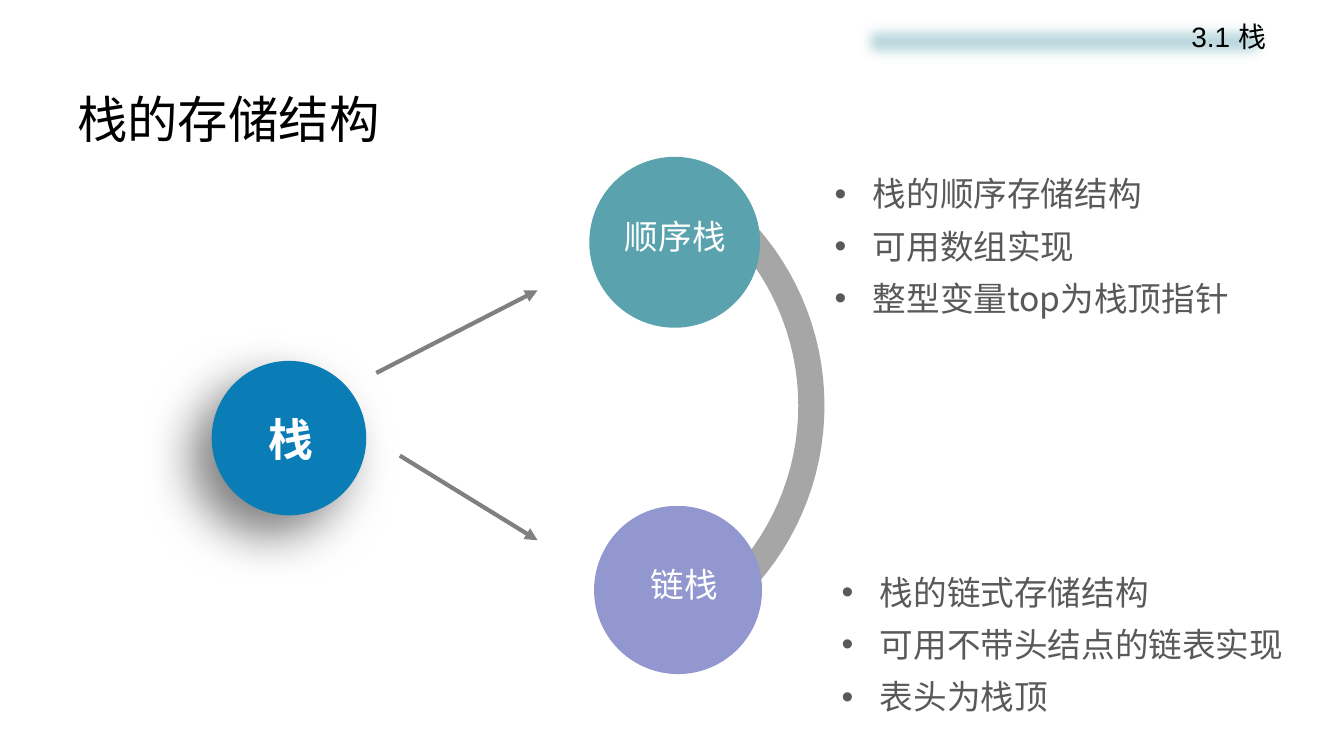
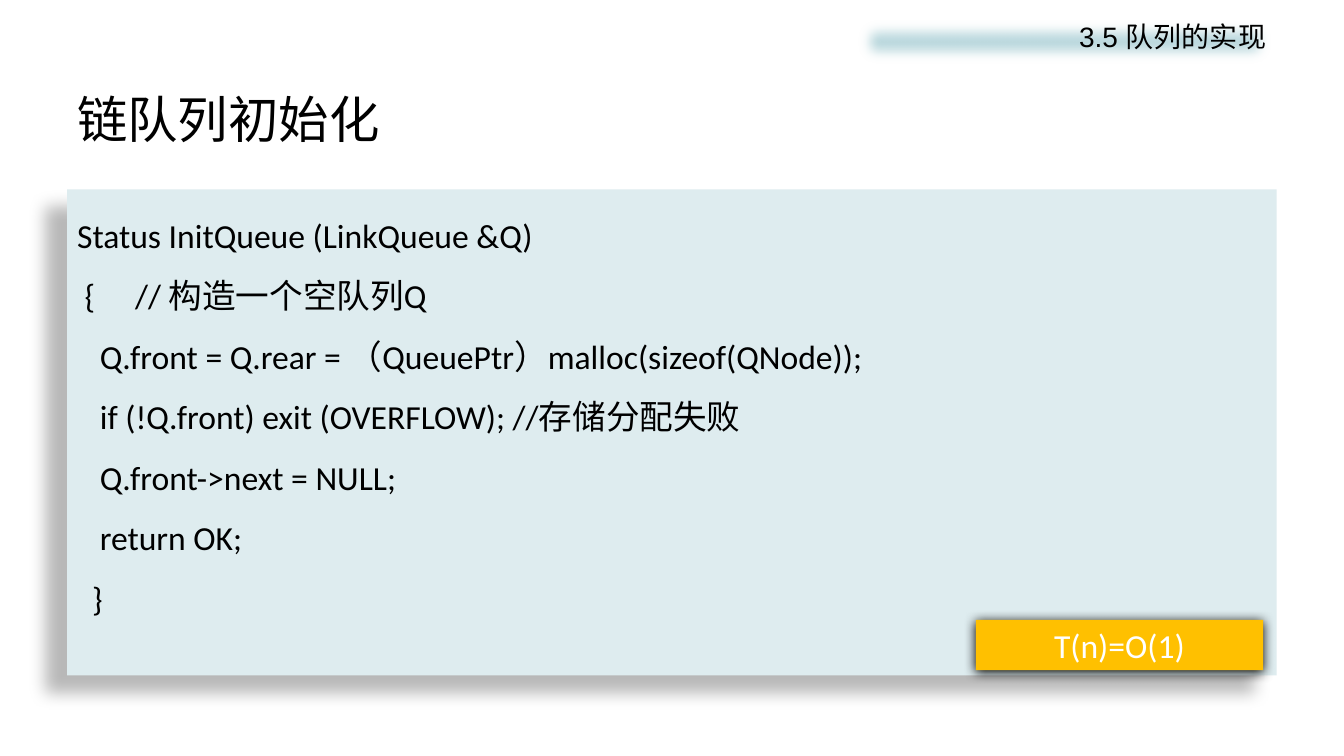
"""Build two slides on the storage of stacks and the set-up of a linked queue."""
from math import cos, radians, sin

from lxml.etree import SubElement
from pptx import Presentation
from pptx.dml.color import RGBColor as RGB
from pptx.enum.shapes import MSO_CONNECTOR as CONN, MSO_SHAPE as SHAPE
from pptx.enum.text import MSO_ANCHOR as ANCHOR, PP_ALIGN as ALIGN
from pptx.oxml.ns import qn
from pptx.util import Inches, Pt

WIDTH, HEIGHT = Inches(13.333), Inches(7.5)
COL, ROW = WIDTH / 40, HEIGHT / 30

BLACK = RGB(0x00, 0x00, 0x00)
WHITE = RGB(0xFF, 0xFF, 0xFF)
BODY_GREY = RGB(0x59, 0x59, 0x59)
ARROW_GREY = RGB(0x80, 0x80, 0x80)
ARC_GREY = RGB(0xA6, 0xA6, 0xA6)
BAND = RGB(0xBD, 0xDA, 0xDF)
PANEL = RGB(0xDE, 0xEC, 0xEF)
BLUE = RGB(0x0A, 0x7D, 0xB6)
TEAL = RGB(0x5A, 0xA2, 0xAE)
VIOLET = RGB(0x92, 0x97, 0xCF)
GOLD = RGB(0xFF, 0xC0, 0x00)

CJK = "Noto Sans CJK SC"
TITLE = dict(size=Pt(36), name=CJK)
SECTION = dict(size=Pt(20), name="Arial")
BULLET = dict(size=Pt(24), name=CJK)
CODE = dict(size=Pt(24), name="Calibri")
ROOT = dict(size=Pt(32), name=CJK, bold=True)
LEAF = dict(size=Pt(24), name="Arial")

SPACE = Pt(5.4)
CODE_LINES = [
    (0, "Status InitQueue (LinkQueue &Q)"),
    (1, "{\t// 构造一个空队列Q"),
    (3, "Q.front = Q.rear = （QueuePtr）malloc(sizeof(QNode));"),
    (3, "if (!Q.front) exit (OVERFLOW); //存储分配失败"),
    (3, "Q.front->next = NULL;"),
    (3, "return OK;"),
    (2, "}"),
]


def apply(obj, values):
    for key, value in values.items():
        setattr(obj, key, value)


def grid(col, row, cols, rows):
    return [int(n) for n in (col * COL, row * ROW, cols * COL, rows * ROW)]


def add_xml(parent, tag, **attrs):
    return SubElement(parent, qn(tag), {k: str(v) for k, v in attrs.items()})


def paint(sp, fill, line=None):
    sp.shadow.inherit = False
    sp.fill.solid()
    sp.fill.fore_color.rgb = fill
    if line is None:
        sp.line.fill.background()
    else:
        sp.line.color.rgb = line
        sp.line.width = Pt(2)
    return sp


def shape(s, kind, box, fill, line=None):
    return paint(s.shapes.add_shape(kind, *grid(*box)), fill, line)


def cast_shadow(sp, alpha, blur, dist, angle):
    effects = sp._element.spPr.find(qn("a:effectLst"))
    shadow = add_xml(effects, "a:outerShdw", blurRad=Pt(blur), dist=Pt(dist),
                     dir=angle * 60000, algn="ctr", rotWithShape=0)
    color = add_xml(shadow, "a:srgbClr", val=BLACK)
    add_xml(color, "a:alpha", val=alpha * 1000)


def write(sp, lines, font, color=BLACK, align=ALIGN.LEFT, spacing=1.0,
          anchor=ANCHOR.TOP, inset=True):
    tf = sp.text_frame
    apply(tf, dict(word_wrap=True, vertical_anchor=anchor))
    if not inset:
        apply(tf, dict.fromkeys(("margin_left", "margin_top",
                                 "margin_right", "margin_bottom"), 0))
    for i, line in enumerate(lines):
        p = tf.add_paragraph() if i else tf.paragraphs[0]
        apply(p, dict(alignment=align, line_spacing=spacing))
        r = p.add_run()
        r.text = line
        apply(r.font, font)
        r.font.color.rgb = color
        add_xml(r._r.get_or_add_rPr(), "a:ea", typeface=CJK)
    return tf.paragraphs


def label(s, box, lines, font, color=BLACK, **layout):
    return write(s.shapes.add_textbox(*grid(*box)), lines, font, color, **layout)


def indent(p, left, first=0):
    pPr = p._p.get_or_add_pPr()
    pPr.set("marL", str(int(left)))
    pPr.set("indent", str(int(first)))
    return pPr


def bullets(s, box, lines):
    for p in label(s, box, lines, BULLET, BODY_GREY, spacing=1.3, inset=False):
        pPr = indent(p, Inches(0.38), -Inches(0.38))
        add_xml(pPr, "a:buFont", typeface="Arial")
        add_xml(pPr, "a:buChar", char="•")


def arrow(s, start, end):
    ends = [int(n) for c, r in (start, end) for n in (c * COL, r * ROW)]
    sp = s.shapes.add_connector(CONN.STRAIGHT, *ends)
    sp.line.color.rgb = ARROW_GREY
    sp.line.width = Pt(3)
    spPr = sp._element.spPr
    add_xml(spPr.find(qn("a:ln")), "a:tailEnd", type="triangle")
    add_xml(spPr, "a:effectLst")


def arc_band(s, center, outer, inner, half_angle, steps=40):
    cx, cy = center[0] * COL, center[1] * ROW
    sweep = [radians(half_angle * (2 * i / steps - 1)) for i in range(steps + 1)]
    edge = [(outer, a) for a in sweep] + [(inner, a) for a in reversed(sweep)]
    points = [(cx + r * COL * cos(a), cy + r * COL * sin(a)) for r, a in edge]
    builder = s.shapes.build_freeform(*points[0])
    builder.add_line_segments(points[1:], close=True)
    paint(builder.convert_to_shape(), ARC_GREY)


def ringed_disc(s, ring, disc, text_box, text, fill, line, align):
    sp = shape(s, SHAPE.DONUT, ring, fill, line)
    sp.adjustments[0] = 0.05
    shape(s, SHAPE.OVAL, disc, fill, line)
    label(s, text_box, [text], LEAF, WHITE, align=align)


def base_slide(prs, title, section):
    s = prs.slides.add_slide(prs.slide_layouts[6])
    label(s, (2, 3.2, 36, 3), [title], TITLE, anchor=ANCHOR.MIDDLE)
    band = shape(s, SHAPE.RECTANGLE, (25.38, 0.56, 12.6, 2.16), BAND)
    effects = band._element.spPr.find(qn("a:effectLst"))
    add_xml(effects, "a:softEdge", rad=Pt(10))
    write(band, [section], SECTION, align=ALIGN.RIGHT)
    return s


def stack_slide(prs):
    s = base_slide(prs, "栈的存储结构", "3.1 栈")
    arc_band(s, (16.5, 16.1), 8.04, 7.26, 59)
    arrow(s, (11.2, 14.8), (16, 11.52))
    arrow(s, (11.9, 18.08), (16, 21.44))
    root = shape(s, SHAPE.OVAL, (6.3, 14.32, 4.6, 6.13), BLUE)
    cast_shadow(root, 50, 35, 20, 135)
    label(s, (6.4, 16.32, 4.5, 2.16), ["栈"], ROOT, WHITE,
          align=ALIGN.CENTER, inset=False)
    ringed_disc(s, (17.58, 6.28, 5, 6.67), (17.8, 6.48, 4.77, 6.36),
                (18.3, 8.36, 4.14, 2), "顺序栈", TEAL, TEAL, ALIGN.LEFT)
    ringed_disc(s, (17.68, 20.08, 5, 6.67), (17.74, 20.08, 4.77, 6.36),
                (18.3, 22.2, 4.14, 2), "链栈", VIOLET, None, ALIGN.CENTER)
    bullets(s, (24.84, 6.4, 12.33, 8.2),
            ["栈的顺序存储结构", "可用数组实现", "整型变量top为栈顶指针"])
    bullets(s, (25.05, 22.2, 13.53, 6.08),
            ["栈的链式存储结构", "可用不带头结点的链表实现", "表头为栈顶"])


def queue_slide(prs):
    s = base_slide(prs, "链队列初始化", "3.5 队列的实现")
    panel = shape(s, SHAPE.RECTANGLE, (2, 7.52, 36, 19.28), PANEL)
    cast_shadow(panel, 28, 11.8, 19.7, 141)
    paragraphs = write(panel, [text for _, text in CODE_LINES], CODE, spacing=1.5)
    for p, (spaces, text) in zip(paragraphs, CODE_LINES):
        pPr = indent(p, spaces * SPACE)
        if "\t" in text:
            tabs = add_xml(pPr, "a:tabLst")
            add_xml(tabs, "a:tab", pos=Inches(0.41), algn="l")
    cost = shape(s, SHAPE.RECTANGLE, (29.04, 24.6, 8.55, 2), GOLD)
    cast_shadow(cost, 100, 8.5, 1, 90)
    write(cost, ["T(n)=O(1)"], CODE, WHITE, align=ALIGN.CENTER)


def main():
    prs = Presentation()
    apply(prs, dict(slide_width=WIDTH, slide_height=HEIGHT))
    stack_slide(prs)
    queue_slide(prs)
    prs.save("out.pptx")


if __name__ == "__main__":
    main()
